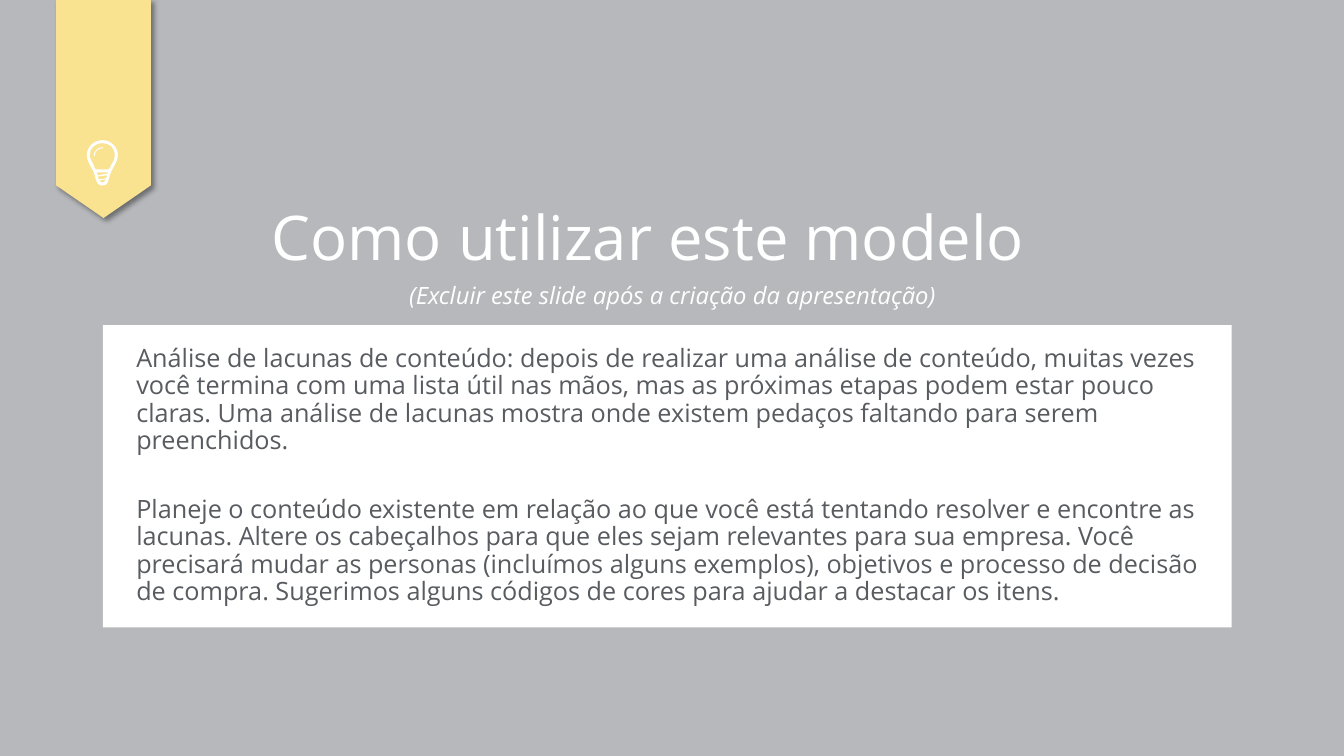
import pptx
import pptx.util
import pptx.dml.color
import pptx.enum.shapes
import pptx.enum.text
import pptx.oxml
import pptx.oxml.ns

WIDTH, HEIGHT = 13.33, 7.5
GREY = pptx.dml.color.RGBColor(0xB6, 0xB8, 0xBB)
WHITE = pptx.dml.color.RGBColor(0xFF, 0xFF, 0xFF)
YELLOW = pptx.dml.color.RGBColor(0xF9, 0xE2, 0x90)
DARK = pptx.dml.color.RGBColor(0x58, 0x5B, 0x5F)
FONT = "Open Sans"
CENTER = pptx.enum.text.PP_ALIGN.CENTER
LEFT = pptx.enum.text.PP_ALIGN.LEFT
SHAPES = pptx.enum.shapes.MSO_SHAPE

TITLE = "Como utilizar este modelo"
SUBTITLE = "(Excluir este slide após a criação da apresentação)"
GUIDANCE = [
    "Análise de lacunas de conteúdo: depois de realizar uma análise de conteúdo, "
    "muitas vezes você termina com uma lista útil nas mãos, mas as próximas etapas "
    "podem estar pouco claras. Uma análise de lacunas mostra onde existem pedaços "
    "faltando para serem preenchidos.",
    "Planeje o conteúdo existente em relação ao que você está tentando resolver e "
    "encontre as lacunas. Altere os cabeçalhos para que eles sejam relevantes para "
    "sua empresa. Você precisará mudar as personas (incluímos alguns exemplos), "
    "objetivos e processo de decisão de compra. Sugerimos alguns códigos de cores "
    "para ajudar a destacar os itens.",
]

# Each contour: a start point, then Bézier curves (six numbers) or lines (two).
BULB = [
    [(1.02, 1.39), (0.93, 1.39, 0.86, 1.46, 0.86, 1.54), (0.86, 1.6, 0.91, 1.66, 0.93, 1.71),
     (0.96, 1.79, 0.95, 1.84, 1.02, 1.84), (1.08, 1.84, 1.07, 1.79, 1.1, 1.71),
     (1.12, 1.66, 1.17, 1.6, 1.17, 1.54), (1.17, 1.46, 1.1, 1.39, 1.02, 1.39)],
    [(1.05, 1.77), (0.98, 1.78, 0.98, 1.78, 0.98, 1.78), (0.98, 1.77, 0.98, 1.76, 0.97, 1.75),
     (0.97, 1.75, 0.97, 1.75, 0.97, 1.75), (1.06, 1.74, 1.06, 1.74, 1.06, 1.74),
     (1.06, 1.74, 1.06, 1.75, 1.06, 1.75), (1.05, 1.76, 1.05, 1.76, 1.05, 1.77)],
    [(0.97, 1.74), (0.97, 1.73, 0.96, 1.72, 0.96, 1.71), (1.07, 1.71, 1.07, 1.71, 1.07, 1.71),
     (1.07, 1.71, 1.07, 1.72, 1.07, 1.72), (0.97, 1.74)],
    [(1.02, 1.81), (1, 1.81, 0.99, 1.81, 0.99, 1.79), (1.05, 1.78, 1.05, 1.78, 1.05, 1.78),
     (1.04, 1.8, 1.03, 1.81, 1.02, 1.81)],
    [(1.08, 1.68), (0.95, 1.68, 0.95, 1.68, 0.95, 1.68), (0.94, 1.67, 0.93, 1.65, 0.93, 1.64),
     (0.91, 1.6, 0.89, 1.57, 0.89, 1.54), (0.89, 1.47, 0.94, 1.42, 1.02, 1.42),
     (1.09, 1.42, 1.14, 1.47, 1.14, 1.54), (1.14, 1.57, 1.13, 1.6, 1.1, 1.64),
     (1.1, 1.65, 1.09, 1.67, 1.08, 1.68)],
]
GLINT = [
    [(1.02, 1.46), (0.97, 1.46, 0.93, 1.5, 0.93, 1.54), (0.93, 1.55, 0.93, 1.55, 0.94, 1.55),
     (0.94, 1.55, 0.94, 1.55, 0.94, 1.54), (0.94, 1.5, 0.98, 1.47, 1.02, 1.47),
     (1.02, 1.47, 1.02, 1.47, 1.02, 1.46), (1.02, 1.46, 1.02, 1.46, 1.02, 1.46)],
]


def frame(left, top, width, height):
    """Turn shares of the slide's size into lengths."""
    shares = (left * WIDTH, top * HEIGHT, width * WIDTH, height * HEIGHT)
    return [pptx.util.Inches(share) for share in shares]


def paint(shape, color):
    shape.shadow.inherit = False
    shape.fill.solid()
    shape.fill.fore_color.rgb = color
    shape.line.fill.background()


def cast_shadow(shape, kind, opacity, blur, distance, angle):
    """Add an innerShdw or outerShdw: percent, points, points, degrees."""
    effects = shape._element.spPr.find(pptx.oxml.ns.qn("a:effectLst"))
    effects.append(pptx.oxml.parse_xml(
        f'<a:{kind} {pptx.oxml.ns.nsdecls("a")} blurRad="{pptx.util.Pt(blur)}" '
        f'dist="{pptx.util.Pt(distance)}" dir="{angle * 60000}">'
        f'<a:srgbClr val="000000"><a:alpha val="{opacity * 1000}"/></a:srgbClr></a:{kind}>'))


def add_panel(page, kind, place, color, shadow):
    panel = page.shapes.add_shape(kind, *frame(*place))
    paint(panel, color)
    cast_shadow(panel, *shadow)
    return panel


def bend(shape, pieces):
    """Join the three segments of each curved piece into one Bézier curve."""
    segments = iter(list(shape._element.iter(pptx.oxml.ns.qn("a:lnTo"))))
    for piece in pieces:
        first = next(segments)
        if len(piece) == 2:
            continue
        curve = pptx.oxml.parse_xml(f'<a:cubicBezTo {pptx.oxml.ns.nsdecls("a")}/>')
        first.addprevious(curve)
        for segment in (first, next(segments), next(segments)):
            curve.append(segment[0])
            segment.getparent().remove(segment)


def add_outline(page, contours, color):
    builder = None
    for start, *pieces in contours:
        start = [round(value * 100) for value in start]
        if builder is None:
            builder = page.shapes.build_freeform(*start, scale=pptx.util.Inches(0.01))
        else:
            builder.move_to(*start)
        points = [(piece[index] * 100, piece[index + 1] * 100)
                  for piece in pieces for index in range(0, len(piece), 2)]
        builder.add_line_segments(points, close=True)
    outline = builder.convert_to_shape()
    bend(outline, [piece for contour in contours for piece in contour[1:]])
    paint(outline, color)


def write(box, texts, paragraph_format, font_format, gap=0):
    """Fill a box with formatted paragraphs, a gap in points between them."""
    area = box.text_frame
    area.word_wrap = True
    area.auto_size = pptx.enum.text.MSO_AUTO_SIZE.NONE
    area.vertical_anchor = pptx.enum.text.MSO_ANCHOR.MIDDLE
    for index, text in enumerate(texts):
        para = area.add_paragraph() if index else area.paragraphs[0]
        para.space_before = pptx.util.Pt(gap if index else 0)
        for name, value in paragraph_format.items():
            setattr(para, name, value)
        span = para.add_run()
        span.text = text
        span.font.color.rgb = font_format["color"]
        for name in font_format.keys() - {"color"}:
            setattr(span.font, name, font_format[name])


def main():
    deck = pptx.Presentation()
    deck.slide_width = pptx.util.Inches(WIDTH)
    deck.slide_height = pptx.util.Inches(HEIGHT)
    page = deck.slides.add_slide(deck.slide_layouts[5])
    page.background.fill.solid()
    page.background.fill.fore_color.rgb = GREY

    add_panel(page, SHAPES.RECTANGLE, (0.0765, 0.43, 0.84, 0.4), WHITE,
              ("innerShdw", 16, 4, 7, 135))

    title = page.shapes.title
    title.left, title.top, title.width, title.height = frame(0.112, 0.265, 0.741, 0.107)
    write(title, [TITLE], {"alignment": CENTER, "line_spacing": 0.9},
          {"name": FONT, "size": pptx.util.Pt(44), "color": WHITE})

    subtitle = page.shapes.add_textbox(*frame(0.267, 0.371, 0.467, 0.045))
    write(subtitle, [SUBTITLE], {"alignment": CENTER, "line_spacing": 0.8},
          {"name": FONT, "size": pptx.util.Pt(17), "italic": True, "color": WHITE})

    ribbon = add_panel(page, SHAPES.PENTAGON, (-0.0045, 0.081, 0.163, 0.125), YELLOW,
                       ("outerShdw", 40, 4, 3, 45))
    ribbon.rotation = 90
    ribbon.adjustments[0] = 0.344
    for contours in (BULB, GLINT):
        add_outline(page, contours, WHITE)

    guidance = page.shapes.add_textbox(*frame(0.094, 0.396, 0.824, 0.467))
    write(guidance, GUIDANCE, {"alignment": LEFT, "line_spacing": 0.9},
          {"name": FONT, "size": pptx.util.Pt(18), "color": DARK}, gap=30)

    deck.save("out.pptx")


if __name__ == "__main__":
    main()
